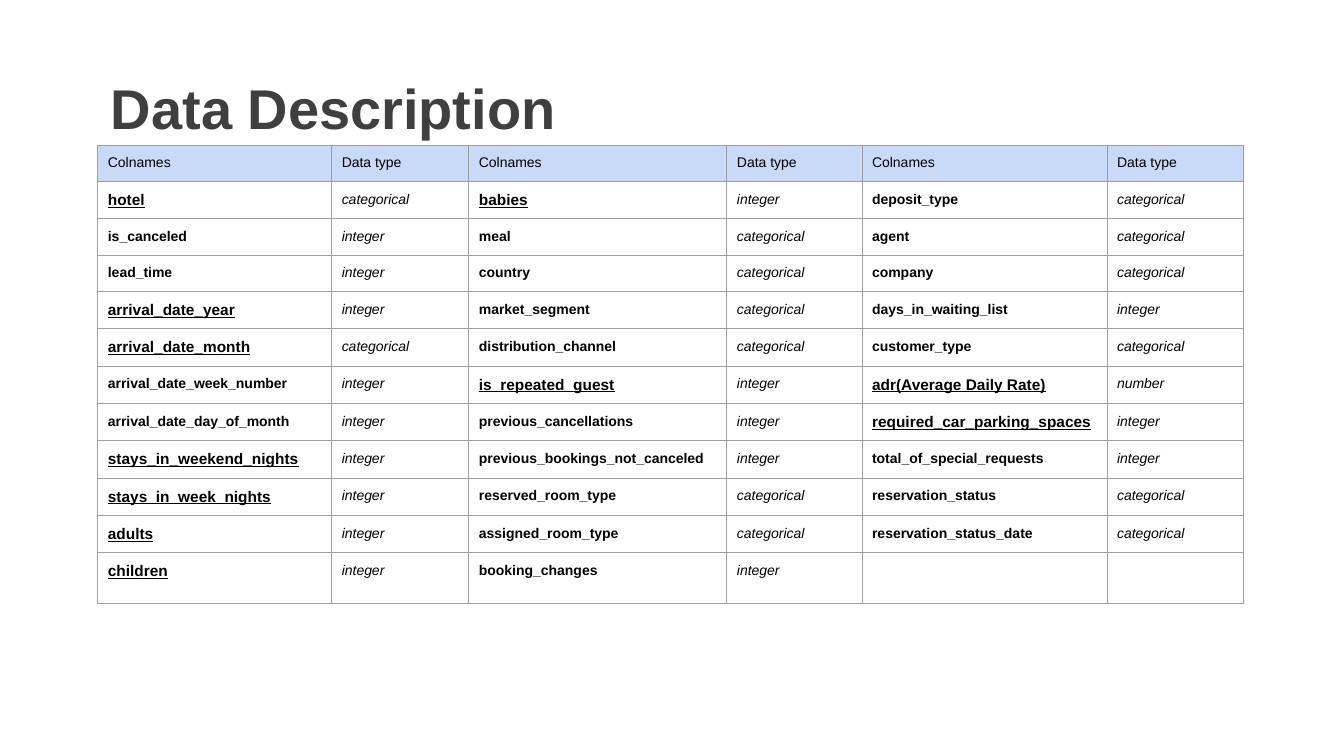
"""Build the Data Description slide: a table of column names and data types."""
import lxml.etree
import pptx
import pptx.dml.color
import pptx.enum.text
import pptx.oxml.ns
import pptx.util

TITLE = "Data Description"
HEADINGS = ("Colnames", "Data type")
GROUPS = [
    [("hotel", "categorical"), ("is_canceled", "integer"), ("lead_time", "integer"),
     ("arrival_date_year", "integer"), ("arrival_date_month", "categorical"),
     ("arrival_date_week_number", "integer"), ("arrival_date_day_of_month", "integer"),
     ("stays_in_weekend_nights", "integer"), ("stays_in_week_nights", "integer"),
     ("adults", "integer"), ("children", "integer")],
    [("babies", "integer"), ("meal", "categorical"), ("country", "categorical"),
     ("market_segment", "categorical"), ("distribution_channel", "categorical"),
     ("is_repeated_guest", "integer"), ("previous_cancellations", "integer"),
     ("previous_bookings_not_canceled", "integer"), ("reserved_room_type", "categorical"),
     ("assigned_room_type", "categorical"), ("booking_changes", "integer")],
    [("deposit_type", "categorical"), ("agent", "categorical"), ("company", "categorical"),
     ("days_in_waiting_list", "integer"), ("customer_type", "categorical"),
     ("adr(Average Daily Rate)", "number"), ("required_car_parking_spaces", "integer"),
     ("total_of_special_requests", "integer"), ("reservation_status", "categorical"),
     ("reservation_status_date", "categorical")],
]
KEY_COLUMNS = {
    "hotel", "arrival_date_year", "arrival_date_month", "stays_in_weekend_nights",
    "stays_in_week_nights", "adults", "children", "babies", "is_repeated_guest",
    "adr(Average Daily Rate)", "required_car_parking_spaces",
}
COLUMN_WIDTHS = (2.32, 1.36, 2.56, 1.34, 2.43, 1.35)
ROW_HEIGHT = 0.36
INSET = 0.1
HEADER_FILL, BORDER, TITLE_COLOR = "C9DAF8", "9E9E9E", "3F3F3F"

inches = pptx.util.Inches


def color(value):
    """Turn a hex string into a colour."""
    return pptx.dml.color.RGBColor.from_string(value)


def write(frame, text, size=10, hex_color="000000", bold=False, italic=False, underline=False):
    """Write one formatted run into a text frame."""
    run = frame.paragraphs[0].add_run()
    run.text = text
    font = run.font
    font.name, font.size = "Arial", pptx.util.Pt(size)
    font.bold, font.italic, font.underline = bold, italic, underline
    font.color.rgb = color(hex_color)


def style_cell(cell, fill=None):
    """Set the insets, fill and four borders of a cell."""
    cell.margin_left = cell.margin_right = inches(INSET)
    cell.margin_top = cell.margin_bottom = inches(INSET)
    if fill:
        cell.fill.solid()
        cell.fill.fore_color.rgb = color(fill)
    else:
        cell.fill.background()
    properties = cell._tc.get_or_add_tcPr()
    qualify = pptx.oxml.ns.qn
    for position, side in enumerate("LRTB"):
        line = lxml.etree.Element(qualify(f"a:ln{side}"), w=str(pptx.util.Pt(0.75)))
        solid = lxml.etree.SubElement(line, qualify("a:solidFill"))
        lxml.etree.SubElement(solid, qualify("a:srgbClr"), val=BORDER)
        properties.insert(position, line)


def add_title(slide):
    """Place and format the title placeholder."""
    title = slide.shapes.title
    title.left, title.top, title.width, title.height = map(inches, (1, 0.62, 11.31, 1.1))
    frame = title.text_frame
    frame.auto_size = pptx.enum.text.MSO_AUTO_SIZE.NONE
    frame.vertical_anchor = pptx.enum.text.MSO_ANCHOR.TOP
    frame.margin_top = inches(0.11)
    frame.paragraphs[0].alignment = pptx.enum.text.PP_ALIGN.LEFT
    write(frame, TITLE, size=40, hex_color=TITLE_COLOR, bold=True)


def add_data_table(slide):
    """Add the table, with each group filling a pair of columns."""
    row_count = 1 + max(map(len, GROUPS))
    table = slide.shapes.add_table(
        row_count, len(COLUMN_WIDTHS), inches(0.97), inches(1.44),
        inches(sum(COLUMN_WIDTHS)), inches(ROW_HEIGHT * row_count)).table
    table.first_row = table.horz_banding = False
    for column, width in zip(table.columns, COLUMN_WIDTHS):
        column.width = inches(width)
    for index, row in enumerate(table.rows):
        row.height = inches(ROW_HEIGHT)
        for cell in row.cells:
            style_cell(cell, HEADER_FILL if index == 0 else None)
    for group_index, group in enumerate(GROUPS):
        left = 2 * group_index
        for offset, heading in enumerate(HEADINGS):
            write(table.cell(0, left + offset).text_frame, heading)
        for row_index, (name, data_type) in enumerate(group, 1):
            key = name in KEY_COLUMNS
            write(table.cell(row_index, left).text_frame, name,
                  size=11 if key else 10, bold=True, underline=key)
            write(table.cell(row_index, left + 1).text_frame, data_type, italic=True)


def main():
    """Build and save the presentation."""
    presentation = pptx.Presentation()
    presentation.slide_width, presentation.slide_height = inches(13.33), inches(7.5)
    slide = presentation.slides.add_slide(presentation.slide_layouts[5])
    add_title(slide)
    add_data_table(slide)
    presentation.save("out.pptx")


if __name__ == "__main__":
    main()
